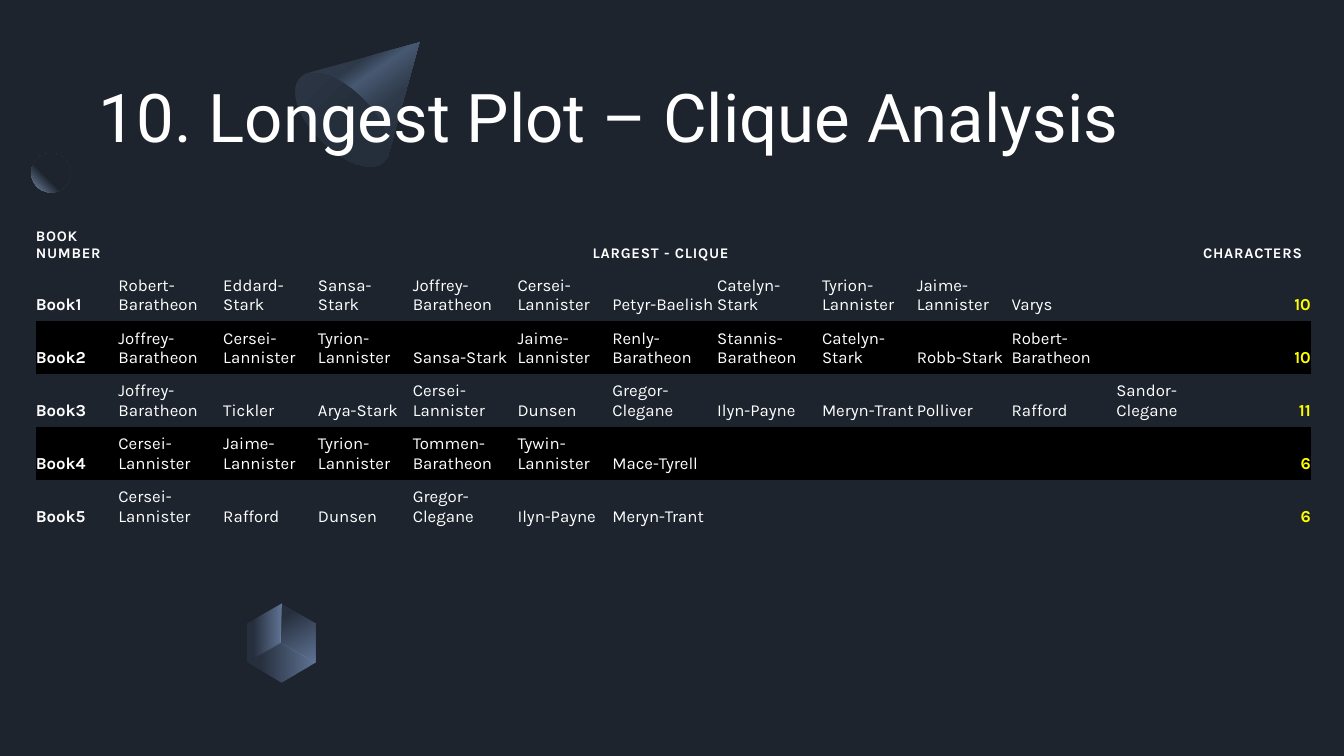
from collections import namedtuple

from pptx import Presentation
from pptx.dml.color import RGBColor
from pptx.enum.shapes import MSO_SHAPE
from pptx.enum.text import MSO_ANCHOR, PP_ALIGN
from pptx.oxml import parse_xml
from pptx.oxml.ns import nsdecls, qn
from pptx.util import Inches, Pt

RECTANGLE, OVAL = MSO_SHAPE.RECTANGLE, MSO_SHAPE.OVAL
BOTTOM = MSO_ANCHOR.BOTTOM
LEFT, CENTER, RIGHT = PP_ALIGN.LEFT, PP_ALIGN.CENTER, PP_ALIGN.RIGHT

Box = namedtuple("Box", "left top width height")
SLIDE = Box(0, 0, Inches(13.33), Inches(7.5))
COLORS = {
    "night": "1D242E", "shade": "252E3B", "slate": "2E3949", "steel": "475871",
    "mist": "7A8EAB", "sky": "8FAADC", "white": "FFFFFF", "black": "000000", "yellow": "FFFF00",
}
PLAIN_TABLE = "{2D5ABB26-0587-4C30-8999-92F81FD0307C}"
COLUMNS = [0.82, 1.04, 0.94, 0.94, 1.04, 0.94, 1.04, 1.04, 0.94, 0.94, 1.04, 0.86, 1.07]
ROWS = [0.49] + [0.52] * 5
CLIQUES = {
    "Book1": "Robert-Baratheon Eddard-Stark Sansa-Stark Joffrey-Baratheon Cersei-Lannister "
             "Petyr-Baelish Catelyn-Stark Tyrion-Lannister Jaime-Lannister Varys",
    "Book2": "Joffrey-Baratheon Cersei-Lannister Tyrion-Lannister Sansa-Stark Jaime-Lannister "
             "Renly-Baratheon Stannis-Baratheon Catelyn-Stark Robb-Stark Robert-Baratheon",
    "Book3": "Joffrey-Baratheon Tickler Arya-Stark Cersei-Lannister Dunsen Gregor-Clegane "
             "Ilyn-Payne Meryn-Trant Polliver Rafford Sandor-Clegane",
    "Book4": "Cersei-Lannister Jaime-Lannister Tyrion-Lannister Tommen-Baratheon "
             "Tywin-Lannister Mace-Tyrell",
    "Book5": "Cersei-Lannister Rafford Dunsen Gregor-Clegane Ilyn-Payne Meryn-Trant",
}
CONE_CURVES = [
    [(71.54, 86.76), (62.6, 95.59), (39.84, 88.97), (21.14, 71.32)],
    [(21.14, 71.32), (1.63, 54.41), (-5.69, 33.82), (4.07, 25.74)],
]
CUBE_FACES = [
    ([(100, 25), (50, 0), (49, 50), (100, 75)], 60),
    ([(0, 75), (0, 25), (50, 0), (49, 50)], 0),
    ([(100, 75), (50, 100), (0, 75), (49, 50)], 0),
]


def part(box, left, top, width, height):
    """Return the box that covers the given percentages of another box."""
    return Box(round(box.left + box.width * left / 100), round(box.top + box.height * top / 100),
               round(box.width * width / 100), round(box.height * height / 100))


def color(name):
    """Return a named colour."""
    return RGBColor.from_string(COLORS[name])


def bare(shape):
    """Remove the shadow, outline and fill of a shape."""
    shape.shadow.inherit = False
    shape.line.fill.background()
    shape.fill.background()
    return shape


def add_gradient(shape, stops, direction):
    """Fill a shape with (position, colour, opacity) stops."""
    marks = "".join(
        f'<a:gs pos="{position * 1000}"><a:srgbClr val="{COLORS[name]}">'
        f'<a:alpha val="{opacity * 1000}"/></a:srgbClr></a:gs>'
        for position, name, opacity in stops)
    properties = shape._element.spPr
    properties.replace(properties.find(qn("a:noFill")), parse_xml(
        f'<a:gradFill {nsdecls("a")} rotWithShape="1"><a:gsLst>{marks}</a:gsLst>{direction}</a:gradFill>'))


def linear(angle):
    """Return the direction of a linear gradient in degrees."""
    return f'<a:lin ang="{angle * 60000}" scaled="0"/>'


def add_outline(slide, box, points):
    """Draw a closed outline from percentage points of a box."""
    corners = [part(box, x, y, 0, 0)[:2] for x, y in points]
    builder = slide.shapes.build_freeform(*corners[0], scale=1.0)
    builder.add_line_segments(corners[1:], close=True)
    return bare(builder.convert_to_shape())


def curve_points(curve, steps=16):
    """Sample points along a cubic curve."""
    weights = [((1 - t) ** 3, 3 * t * (1 - t) ** 2, 3 * t * t * (1 - t), t ** 3)
               for t in (step / steps for step in range(steps + 1))]
    return [tuple(sum(w * point[axis] for w, point in zip(row, curve)) for axis in (0, 1))
            for row in weights]


def add_backdrop(slide, box):
    """Cover the box with the dark page colour."""
    slide.background.fill.solid()
    slide.background.fill.fore_color.rgb = color("night")
    backdrop = bare(slide.shapes.add_shape(RECTANGLE, *box))
    backdrop.fill.solid()
    backdrop.fill.fore_color.rgb = color("night")


def add_ball(slide, box):
    """Draw the small ball lit from the lower left."""
    ball = bare(slide.shapes.add_shape(OVAL, *box))
    add_gradient(ball, [(60, "night", 100), (100, "mist", 100)],
                 '<a:path path="circle"><a:fillToRect l="100000" b="100000"/></a:path>')


def add_cone(slide, box):
    """Draw the cone and its open end."""
    points = [(100, 0), (74.8, 82.35), (74.8, 83.09)]
    for curve in CONE_CURVES:
        points += curve_points(curve)
    cone = add_outline(slide, box, points + [(8.13, 22.79)])
    add_gradient(cone, [(30, "slate", 100), (40, "steel", 100), (60, "slate", 100),
                        (100, "night", 100)], linear(55))
    opening = bare(slide.shapes.add_shape(OVAL, *part(box, 13.82, 13.24, 47.97, 86.76)))
    opening.rotation = 135
    add_gradient(opening, [(50, "shade", 100), (100, "slate", 100)], linear(90))


def add_cube(slide, box):
    """Draw the three faces of the cube."""
    for points, angle in CUBE_FACES:
        add_gradient(add_outline(slide, box, points),
                     [(20, "slate", 60), (100, "sky", 60)], linear(angle))


def write(frame, text, font, size, name="white", bold=False, align=LEFT, spacing=0):
    """Put one run of text in the first paragraph of a frame."""
    para = frame.paragraphs[0]
    para.alignment = align
    run = para.add_run()
    run.text = text
    run.font.name, run.font.size, run.font.bold = font, Pt(size), bold
    run.font.color.rgb = color(name)
    if spacing:
        run._r.get_or_add_rPr().set("spc", str(spacing))


def add_title(slide, box):
    """Write the slide title at the foot of the box."""
    frame = slide.shapes.add_textbox(*box).text_frame
    frame.word_wrap = True
    frame.vertical_anchor = BOTTOM
    frame.margin_left = frame.margin_top = frame.margin_right = frame.margin_bottom = 0
    write(frame, "10. Longest Plot – Clique Analysis", "Roboto", 48)
    frame.paragraphs[0].space_after = Pt(6)


def add_clique_table(slide, box):
    """Fill the table of largest cliques by book."""
    table = slide.shapes.add_table(len(ROWS), len(COLUMNS), *box).table
    table._tbl.tblPr.find(qn("a:tableStyleId")).text = PLAIN_TABLE
    table.first_row = table.horz_banding = False
    for column, share in zip(table.columns, COLUMNS):
        column.width = round(box.width * share / sum(COLUMNS))
    for index, (row, share) in enumerate(zip(table.rows, ROWS)):
        row.height = round(box.height * share / sum(ROWS))
        for cell in row.cells:
            cell.margin_left = cell.margin_right = 0
            cell.margin_top = 0 if index else Inches(0.06)
            cell.margin_bottom = Inches(0.06)
            cell.vertical_anchor = BOTTOM
            cell.fill.background()
            if index in (2, 4):
                cell.fill.solid()
                cell.fill.fore_color.rgb = color("black")
    last = len(COLUMNS) - 1
    table.cell(0, 1).merge(table.cell(0, last - 1))
    for index, text, align in ((0, "BOOK NUMBER", LEFT), (1, "LARGEST - CLIQUE", CENTER),
                               (last, "CHARACTERS", LEFT)):
        write(table.cell(0, index).text_frame, text, "Karla", 10.5, bold=True, align=align, spacing=60)
    for index, (book, clique) in enumerate(CLIQUES.items(), 1):
        members = clique.split()
        write(table.cell(index, 0).text_frame, book, "Karla", 12, bold=True)
        for column, member in enumerate(members, 1):
            cell = table.cell(index, column)
            cell.margin_right = Inches(0.02)
            write(cell.text_frame, member, "Karla", 12)
        write(table.cell(index, last).text_frame, str(len(members)), "Karla", 12, "yellow", True, RIGHT)


def main():
    """Build and save the deck."""
    deck = Presentation()
    deck.slide_width, deck.slide_height = SLIDE.width, SLIDE.height
    slide = deck.slides.add_slide(deck.slide_layouts[6])
    add_backdrop(slide, SLIDE)
    add_ball(slide, part(SLIDE, 2.33, 20.27, 2.93, 5.2))
    add_cone(slide, part(SLIDE, 21.98, 5.6, 9.23, 18.13))
    add_title(slide, part(SLIDE, 7.35, 9.25, 77.19, 11.33))
    add_cube(slide, part(SLIDE, 18.38, 79.87, 5.1, 10.4))
    add_clique_table(slide, part(SLIDE, 2.66, 28.93, 94.9, 41.5))
    deck.save("out.pptx")


if __name__ == "__main__":
    main()
